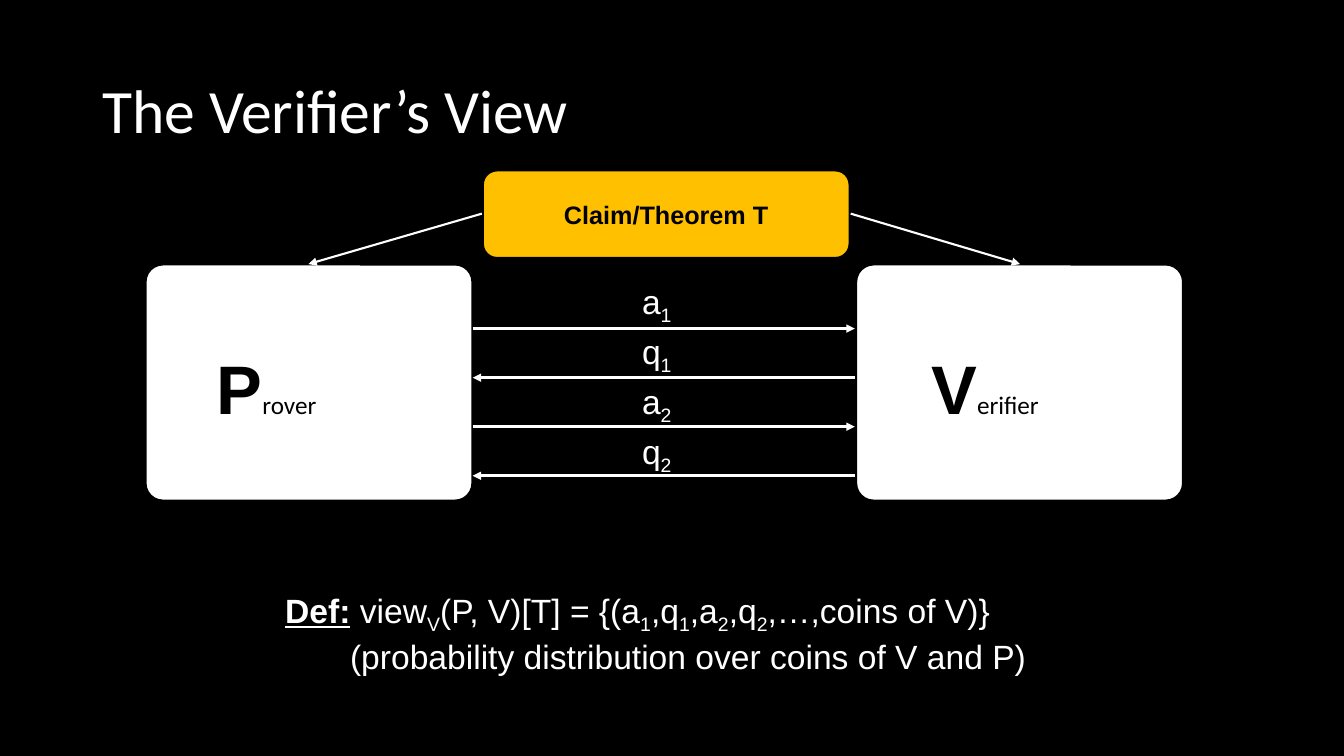
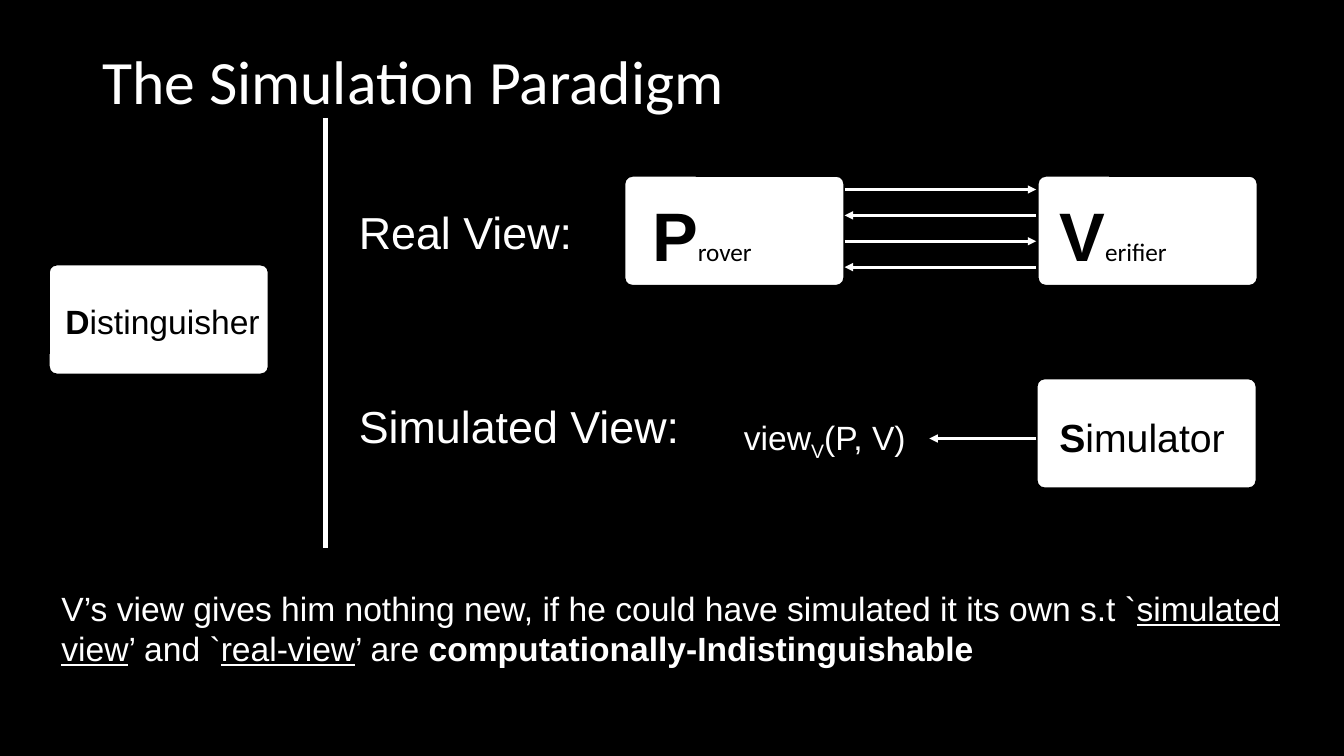
from lxml import etree
from pptx import Presentation
from pptx.dml.color import RGBColor
from pptx.enum.shapes import MSO_CONNECTOR, MSO_SHAPE
from pptx.enum.text import MSO_ANCHOR, MSO_AUTO_SIZE, PP_ALIGN
from pptx.oxml.ns import qn
from pptx.util import Inches, Pt

BLACK = RGBColor(0x00, 0x00, 0x00)
WHITE = RGBColor(0xFF, 0xFF, 0xFF)
AMBER = RGBColor(0xFF, 0xC0, 0x00)
BODY_FONT, TITLE_FONT = "Arial", "Calibri"

ROUNDED = MSO_SHAPE.ROUNDED_RECTANGLE
STRAIGHT = MSO_CONNECTOR.STRAIGHT
MIDDLE = MSO_ANCHOR.MIDDLE
CENTER = PP_ALIGN.CENTER
LEFT = PP_ALIGN.LEFT
GROW = MSO_AUTO_SIZE.SHAPE_TO_FIT_TEXT

COLS, ROWS = 80, 45
CELL = Inches(1) / 6
BOX_ADJ = 0.075


def cells(*values):
    """Turn grid cells into slide lengths."""
    return [round(v * CELL) for v in values]


def add_run(p, text, size=24, font=BODY_FONT, color=WHITE, bold=False,
            underline=False, sub=False):
    r = p.add_run()
    r.text = text
    r.font.size = Pt(size)
    r.font.name = font
    r.font.color.rgb = color
    r.font.bold = bold
    r.font.underline = underline
    if sub:
        r._r.get_or_add_rPr().set("baseline", "-25000")


def sub(text):
    return text, {"sub": True}


def bold(text, **fmt):
    return text, {"bold": True, **fmt}


def under(text, **fmt):
    return text, {"underline": True, **fmt}


class Deck:
    """Black slides on a grid of square cells."""

    def __init__(self):
        self.prs = Presentation()
        self.prs.slide_width, self.prs.slide_height = cells(COLS, ROWS)
        self.slide = None

    def new_slide(self, title, top):
        self.slide = self.prs.slides.add_slide(self.prs.slide_layouts[6])
        fill = self.slide.background.fill
        fill.solid()
        fill.fore_color.rgb = BLACK
        sp = self.slide.shapes.add_textbox(*cells(5.5, top, 69, 8.7))
        tf = sp.text_frame
        tf.word_wrap = True
        tf.vertical_anchor = MIDDLE
        tf.paragraphs[0].line_spacing = 0.9
        add_run(tf.paragraphs[0], title, size=44, font=TITLE_FONT)

    def text(self, x, y, w, h, *runs, **fmt):
        """Add a text box; each run is a string or a (string, format) pair."""
        sp = self.slide.shapes.add_textbox(*cells(x, y, w, h))
        tf = sp.text_frame
        tf.word_wrap = True
        tf.auto_size = GROW
        tf.vertical_anchor = MIDDLE
        tf.margin_left = tf.margin_right = Inches(0.06)
        tf.margin_top = tf.margin_bottom = Inches(0.06)
        self.fill_paragraph(tf.paragraphs[0], runs, **fmt)
        return tf

    def fill_paragraph(self, p, runs, indent=0, **fmt):
        p.alignment = LEFT
        if indent:
            p._p.get_or_add_pPr().set("marL", str(cells(indent)[0]))
        for run in runs:
            text, extra = (run, {}) if isinstance(run, str) else run
            add_run(p, text, **{**fmt, **extra})

    def box(self, x, y, w, h, fill=WHITE, adj=BOX_ADJ, line=2):
        sp = self.slide.shapes.add_shape(ROUNDED, *cells(x, y, w, h))
        sp.shadow.inherit = False
        sp.adjustments[0] = adj
        sp.fill.solid()
        sp.fill.fore_color.rgb = fill
        sp.line.color.rgb = BLACK
        sp.line.width = Pt(line)
        return sp

    def party(self, x, y, w, h, initial, rest):
        """Label a party with a large initial and a small remainder."""
        self.text(x, y, w, h, bold(initial, size=49),
                  (rest, {"size": 18, "font": TITLE_FONT}), color=BLACK)

    def line(self, x1, y1, x2, y2, width=2, arrow=True):
        cn = self.slide.shapes.add_connector(STRAIGHT, *cells(x1, y1, x2, y2))
        cn.line.color.rgb = WHITE
        cn.line.width = Pt(width)
        if arrow:
            ln = cn.line._get_or_add_ln()
            etree.SubElement(ln, qn("a:tailEnd"), type="triangle")
        etree.SubElement(cn._element.spPr, qn("a:effectLst"))

    def exchange(self, left, right, top, step):
        """Draw four messages that go right and left in turn."""
        for i in range(4):
            start, end = (right, left) if i % 2 else (left, right)
            self.line(start, top + i * step, end, top + i * step)


def verifier_view(deck):
    deck.new_slide("The Verifier’s View", top=2.4)
    for x in (8.64, 50.94):
        deck.box(x, 15.72, 19.5, 14.1)
    deck.party(12.54, 20.28, 10.44, 5.58, "P", "rover")
    deck.party(55.08, 20.28, 11.16, 5.58, "V", "erifier")

    claim = deck.box(28.68, 10.08, 21.96, 5.34, AMBER, adj=0.17, line=3)
    claim.text_frame.vertical_anchor = MIDDLE
    p = claim.text_frame.paragraphs[0]
    p.alignment = CENTER
    add_run(p, "Claim/Theorem T", size=18, color=BLACK, bold=True)
    for start, end in ((28.68, 18.36), (50.64, 60.72)):
        deck.line(start, 12.72, end, 15.72, width=1.5)

    deck.exchange(28.14, 50.88, top=19.56, step=2.92)
    for i, (letter, index) in enumerate(("a1", "q1", "a2", "q2")):
        deck.text(37.86, 16.5 + i * 2.98, 15.42, 3.12, letter, sub(index))

    tf = deck.text(16.62, 34.92, 60, 5.52,
                   bold("Def:", underline=True), bold(" "), "view", sub("V"),
                   "(P, V)[T] = {(a", sub("1"), ",q", sub("1"),
                   ",a", sub("2"), ",q", sub("2"), ",…,coins of V)}")
    deck.fill_paragraph(
        tf.add_paragraph(),
        ["(probability distribution over coins of V and P)"], indent=3.86)


def simulation_paradigm(deck):
    deck.new_slide("The Simulation Paradigm", top=0.66)
    for x, y in ((37.14, 10.44), (61.74, 10.44), (61.68, 22.5), (2.88, 15.72)):
        deck.box(x, y, 13.14, 6.6)
    deck.party(38.46, 11.16, 10.44, 5.58, "P", "rover")
    deck.party(62.7, 11.16, 11.16, 5.58, "V", "erifier")
    deck.text(62.7, 24.24, 11.16, 3.48, bold("S"), "imulator",
              size=28, color=BLACK)
    deck.text(3.54, 17.52, 14.22, 3.12, bold("D"), "istinguisher", color=BLACK)

    deck.exchange(50.28, 61.68, top=11.28, step=1.54)
    deck.line(61.68, 26.1, 55.32, 26.1)
    deck.line(19.38, 7.02, 19.38, 32.64, width=3, arrow=False)

    deck.text(21, 11.82, 14.82, 3.9, "Real View:", size=32)
    deck.text(21, 23.4, 20.88, 3.9, "Simulated View:", size=32)
    deck.text(43.92, 24.6, 13, 3.12, "view", sub("V"), "(P, V)")
    deck.text(3.3, 34.62, 73.38, 5.52,
              "V’s view gives him nothing new, if he could have simulated it "
              "its own s.t `", under("simulated view"), "’ and `",
              under("real-view"), "’ are ",
              bold("computationally-Indistinguishable"))


def main():
    deck = Deck()
    verifier_view(deck)
    simulation_paradigm(deck)
    deck.prs.save("out.pptx")


if __name__ == "__main__":
    main()
